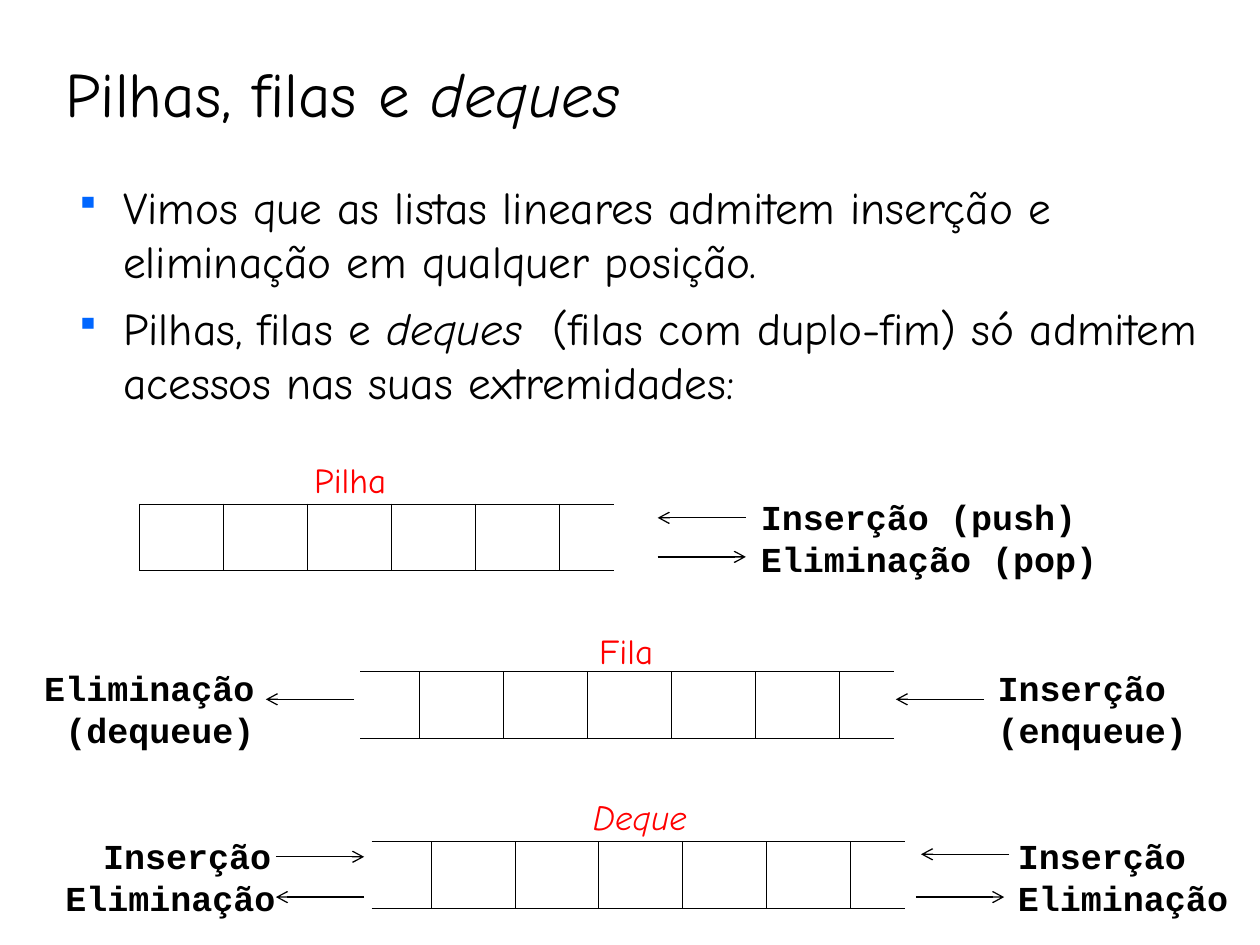
"""Build the slide on stacks, queues and deques."""
import pptx
import pptx.dml.color
import pptx.enum.shapes
import pptx.enum.text
import pptx.oxml
import pptx.oxml.ns
import pptx.util
from lxml import etree

Inches, Pt = pptx.util.Inches, pptx.util.Pt
RGBColor = pptx.dml.color.RGBColor
ALIGN = pptx.enum.text.PP_ALIGN
ANCHOR = pptx.enum.text.MSO_ANCHOR

BLACK = RGBColor(0, 0, 0)
WHITE = RGBColor(255, 255, 255)
RED = RGBColor(255, 0, 0)
BLUE = RGBColor(0, 0x66, 0xFF)
HAND, MONO = "Comic Neue", "Courier New"
CELL, OPEN_LEFT, OPEN_RIGHT, ROW = 2 / 3, 0.47, 0.43, 0.53
ARROW, CHARACTER, INSET = 0.7, 0.17, 0.1

# Each run is (text, italic).
TITLE = [("Pilhas, filas e ", False), ("deques", True)]
BULLETS = [
    [("Vimos que as listas lineares admitem inserção e eliminação em qualquer posição.", False)],
    [("Pilhas, filas e ", False), ("deques", True),
     ("  (filas com duplo-fim) só admitem acessos nas suas extremidades:", False)],
]
# Arrows are (left, y, points right); captions are (left, top, lines, alignment).
STRUCTURES = [
    {"name": "Pilha", "italic": False, "label": (2.78, 3.62), "table": (1.11, 4),
     "open_left": False,
     "arrows": [(5.22, 4.11, False), (5.22, 4.42, True)],
     "captions": [(5.94, 3.88, ["Inserção (push)"], ALIGN.LEFT),
                  (5.94, 4.22, ["Eliminação (pop)"], ALIGN.LEFT)]},
    {"name": "Fila", "italic": False, "label": (4.97, 4.98), "table": (2.86, 5.33),
     "open_left": True,
     "arrows": [(2.11, 5.55, False), (7.11, 5.55, False)],
     "captions": [(0.22, 5.24, ["Eliminação", "(dequeue)"], ALIGN.RIGHT),
                  (7.82, 5.24, ["Inserção", "(enqueue)"], ALIGN.LEFT)]},
    {"name": "Deque", "italic": True, "label": (5.08, 6.3), "table": (2.95, 6.68),
     "open_left": True,
     "arrows": [(2.19, 6.8, True), (2.19, 7.12, False),
                (7.31, 6.78, False), (7.27, 7.12, True)],
     "captions": [(0.72, 6.57, ["Inserção"], ALIGN.LEFT),
                  (0.42, 6.91, ["Eliminação"], ALIGN.LEFT),
                  (7.98, 6.57, ["Inserção"], ALIGN.LEFT),
                  (7.98, 6.91, ["Eliminação"], ALIGN.LEFT)]},
]


def add_element(parent, tag, **attributes):
    return etree.SubElement(parent, pptx.oxml.ns.qn(tag), attributes)


def style(paragraph, size, name, color=BLACK, bold=False):
    font = paragraph.font
    font.size, font.name, font.bold = Pt(size), name, bold
    font.color.rgb = color


def add_runs(paragraph, runs):
    for text, italic in runs:
        run = paragraph.add_run()
        run.text = text
        if italic:
            run.font.italic = True


def add_text_box(slide, left, top, width, height, wrap=False):
    frame = slide.shapes.add_textbox(*map(Inches, (left, top, width, height))).text_frame
    frame.word_wrap = wrap
    return frame


def add_title(slide):
    title = slide.shapes.title
    title.left, title.top, title.width, title.height = map(Inches, (0.42, 0.25, 9.08, 0.83))
    title.text_frame.vertical_anchor = ANCHOR.BOTTOM
    paragraph = title.text_frame.paragraphs[0]
    paragraph.alignment = ALIGN.LEFT
    add_runs(paragraph, TITLE)
    style(paragraph, 36, HAND)


def add_bullets(slide):
    frame = add_text_box(slide, 0.5, 1.37, 9.17, 2.02, wrap=True)
    for index, runs in enumerate(BULLETS):
        paragraph = frame.add_paragraph() if index else frame.paragraphs[0]
        add_runs(paragraph, runs)
        properties = paragraph._p.get_or_add_pPr()
        properties.set("marL", str(Inches(0.38)))
        properties.set("indent", str(-Inches(0.38)))
        add_element(add_element(properties, "a:buClr"), "a:srgbClr", val=str(BLUE))
        add_element(properties, "a:buSzPct", val="75000")
        add_element(properties, "a:buChar", char="▪")
        if index:
            paragraph.space_before = Pt(7)
        style(paragraph, 25.9, HAND)


def add_cells(slide, left, top, open_left):
    widths = [OPEN_LEFT] * open_left + [CELL] * 5 + [OPEN_RIGHT]
    frame = slide.shapes.add_table(
        1, len(widths), *map(Inches, (left, top, sum(widths), ROW)))
    table = frame.table
    table.first_row = table.horz_banding = False
    table.rows[0].height = Inches(ROW)
    for index, width in enumerate(widths):
        table.columns[index].width = Inches(width)
        cell = table.cell(0, index)
        hidden = {"a:lnL": open_left and index == 0, "a:lnR": index == len(widths) - 1}
        for side in ("a:lnL", "a:lnR", "a:lnT", "a:lnB"):
            border = add_element(cell._tc.get_or_add_tcPr(), side, w=str(Pt(0.45)))
            if hidden.get(side):
                add_element(border, "a:noFill")
            else:
                add_element(add_element(border, "a:solidFill"), "a:srgbClr", val=str(BLACK))
        cell.fill.solid()
        cell.fill.fore_color.rgb = WHITE


def add_arrow(slide, left, y, points_right):
    start, end = (left, left + ARROW) if points_right else (left + ARROW, left)
    arrow = slide.shapes.add_connector(
        pptx.enum.shapes.MSO_CONNECTOR.STRAIGHT, *map(Inches, (start, y, end, y)))
    arrow.line.color.rgb = BLACK
    arrow.line.width = Pt(0.75)
    add_element(arrow.line._get_or_add_ln(), "a:tailEnd", type="arrow")
    add_element(arrow._element.spPr, "a:effectLst")


def add_caption(slide, left, top, lines, alignment):
    width = max(map(len, lines)) * CHARACTER + 2 * INSET
    frame = add_text_box(slide, left, top, width, 0.1 + 0.34 * len(lines))
    for index, line in enumerate(lines):
        paragraph = frame.add_paragraph() if index else frame.paragraphs[0]
        paragraph.text = line
        paragraph.alignment = alignment
        style(paragraph, 20, MONO, bold=True)


def add_label(slide, center, top, name, italic):
    frame = add_text_box(slide, center - 0.5, top, 1, 0.35)
    frame.margin_left = frame.margin_right = frame.margin_top = frame.margin_bottom = 0
    frame.vertical_anchor = ANCHOR.MIDDLE
    paragraph = frame.paragraphs[0]
    paragraph.alignment = ALIGN.CENTER
    paragraph.line_spacing = Pt(25)
    add_runs(paragraph, [(name, italic)])
    style(paragraph, 20, HAND, RED)


def main():
    presentation = pptx.Presentation()
    presentation.slide_width, presentation.slide_height = Inches(10), Inches(7.5)
    slide = presentation.slides.add_slide(presentation.slide_layouts[5])
    add_title(slide)
    add_bullets(slide)
    for structure in STRUCTURES:
        add_cells(slide, *structure["table"], structure["open_left"])
        add_label(slide, *structure["label"], structure["name"], structure["italic"])
        for arrow in structure["arrows"]:
            add_arrow(slide, *arrow)
        for caption in structure["captions"]:
            add_caption(slide, *caption)
    presentation.save("out.pptx")


if __name__ == "__main__":
    main()
